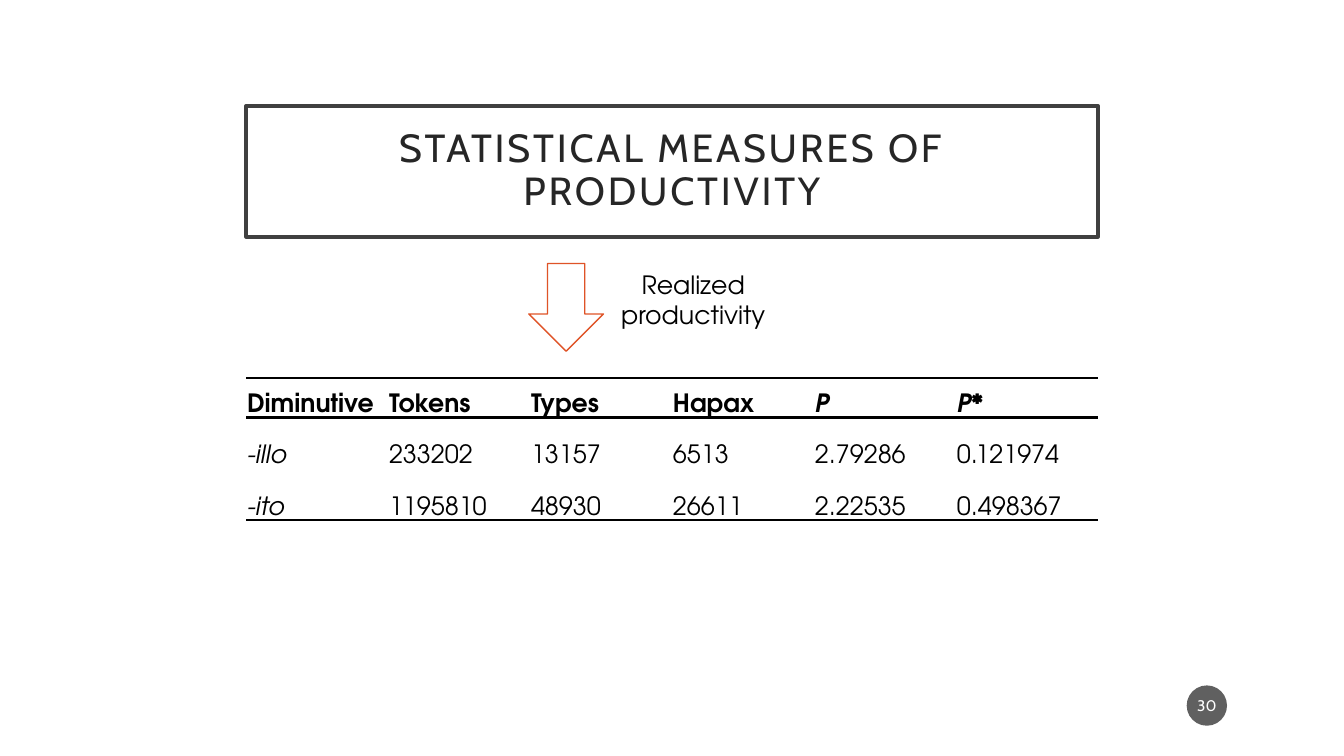
from lxml import etree
from pptx import Presentation
from pptx.dml.color import RGBColor
from pptx.enum.shapes import MSO_SHAPE
from pptx.enum.text import MSO_ANCHOR, MSO_AUTO_SIZE, PP_ALIGN
from pptx.oxml.ns import qn
from pptx.util import Inches, Pt

ARROW, OVAL = MSO_SHAPE.RIGHT_ARROW, MSO_SHAPE.OVAL
MIDDLE, BOTTOM = MSO_ANCHOR.MIDDLE, MSO_ANCHOR.BOTTOM
CENTER, FIXED = PP_ALIGN.CENTER, MSO_AUTO_SIZE.NONE
HEAD, BODY = "Cabin", "TeX Gyre Adventor"
ROWS = [
    ["Diminutive", "Tokens", "Types", "Hapax", "P", "P*"],
    ["-illo", "233202", "13157", "6513", "2.79286", "0.121974"],
    ["-ito", "1195810", "48930", "26611", "2.22535", "0.498367"],
]
HEIGHTS = [0.39, 0.51, 0.51]


def color(code):
    """Turn a hex string into a colour."""
    return RGBColor.from_string(code)


def paint(shape, fill, line=None, width=1):
    """Set the fill and outline of a shape."""
    shape.fill.solid()
    shape.fill.fore_color.rgb = color(fill)
    if line:
        shape.line.color.rgb = color(line)
        shape.line.width = Pt(width)
    else:
        shape.line.fill.background()


def write(para, text, size, face, code, bold=False, italic=False):
    """Add one formatted run to a paragraph."""
    run = para.add_run()
    run.text = text
    font = run.font
    font.size, font.name = Pt(size), face
    font.bold, font.italic = bold, italic
    font.color.rgb = color(code)
    return run


def inset(frame, left, top, right, bottom):
    """Set the four margins of a text frame or cell."""
    frame.margin_left, frame.margin_right = Inches(left), Inches(right)
    frame.margin_top, frame.margin_bottom = Inches(top), Inches(bottom)


def add_title(slide, x, y, w, h):
    """Place the framed title."""
    title = slide.shapes.title
    title.left, title.top = Inches(x), Inches(y)
    title.width, title.height = Inches(w), Inches(h)
    paint(title, "FFFFFF", "404040", 2.5)
    frame = title.text_frame
    frame.word_wrap, frame.auto_size = True, FIXED
    frame.vertical_anchor = MIDDLE
    inset(frame, 0.2, 0.2, 0.2, 0.2)
    para = frame.paragraphs[0]
    para.alignment, para.line_spacing = CENTER, 0.9
    run = write(para, "STATISTICAL MEASURES OF PRODUCTIVITY", 28, HEAD, "262626")
    run.font._element.set("spc", "200")


def add_badge(slide, x, y, size):
    """Place the round page number."""
    badge = slide.shapes.add_shape(OVAL, Inches(x), Inches(y), Inches(size), Inches(size))
    badge.shadow.inherit = False
    paint(badge, "1D1D1D")
    tone = badge._element.spPr.find(".//" + qn("a:srgbClr"))
    etree.SubElement(tone, qn("a:alpha"), val="70000")
    frame = badge.text_frame
    frame.vertical_anchor = MIDDLE
    inset(frame, 0.02, 0.05, 0.02, 0.05)
    para = frame.paragraphs[0]
    para.alignment = CENTER
    write(para, "30", 11, HEAD, "FFFFFF")


def rule(cell, shown):
    """Draw the named cell borders and hide the others."""
    props = cell._tc.get_or_add_tcPr()
    for side in "LRTB":
        line = etree.SubElement(props, qn("a:ln" + side), w=str(Pt(2.25)))
        if side in shown:
            fill = etree.SubElement(line, qn("a:solidFill"))
            etree.SubElement(fill, qn("a:srgbClr"), val="000000")
        else:
            etree.SubElement(line, qn("a:noFill"))


def add_grid(slide, x, y, w):
    """Place the table of measures."""
    count = len(ROWS[0])
    frame = slide.shapes.add_table(
        len(ROWS), count, Inches(x), Inches(y), Inches(w), Inches(sum(HEIGHTS)))
    table = frame.table
    table.first_row = table.horz_banding = False
    for col in table.columns:
        col.width = Inches(w / count)
    for r, (row, sides) in enumerate(zip(ROWS, ["TB", "T", "B"])):
        table.rows[r].height = Inches(HEIGHTS[r])
        for c, text in enumerate(row):
            cell = table.cell(r, c)
            rule(cell, sides)
            cell.fill.background()
            cell.vertical_anchor = BOTTOM
            inset(cell, 0.01, 0.01, 0.01, 0)
            slant = text[0] in "P-"
            write(cell.text_frame.paragraphs[0], text, 18, BODY, "000000", r == 0, slant)


def add_note(slide, x, y):
    """Place the arrow and its label."""
    arrow = slide.shapes.add_shape(
        ARROW, Inches(x), Inches(y + 0.06), Inches(0.87), Inches(0.74))
    arrow.rotation = 90
    arrow.shadow.inherit = False
    paint(arrow, "FFFFFF", "DF5327")
    label = slide.shapes.add_textbox(
        Inches(x + 0.8), Inches(y), Inches(1.79), Inches(0.71))
    frame = label.text_frame
    frame.word_wrap = True
    para = frame.paragraphs[0]
    para.alignment = CENTER
    write(para, "Realized productivity", 18, BODY, "000000")


def main():
    """Build and save the slide."""
    deck = Presentation()
    deck.slide_width, deck.slide_height = Inches(13.33), Inches(7.5)
    slide = deck.slides.add_slide(deck.slide_layouts[5])
    add_title(slide, 2.44, 1.05, 8.45, 1.3)
    add_badge(slide, 11.77, 6.8, 0.4)
    add_grid(slide, 2.44, 3.75, 8.45)
    add_note(slide, 5.18, 2.62)
    deck.save("out.pptx")


if __name__ == "__main__":
    main()
